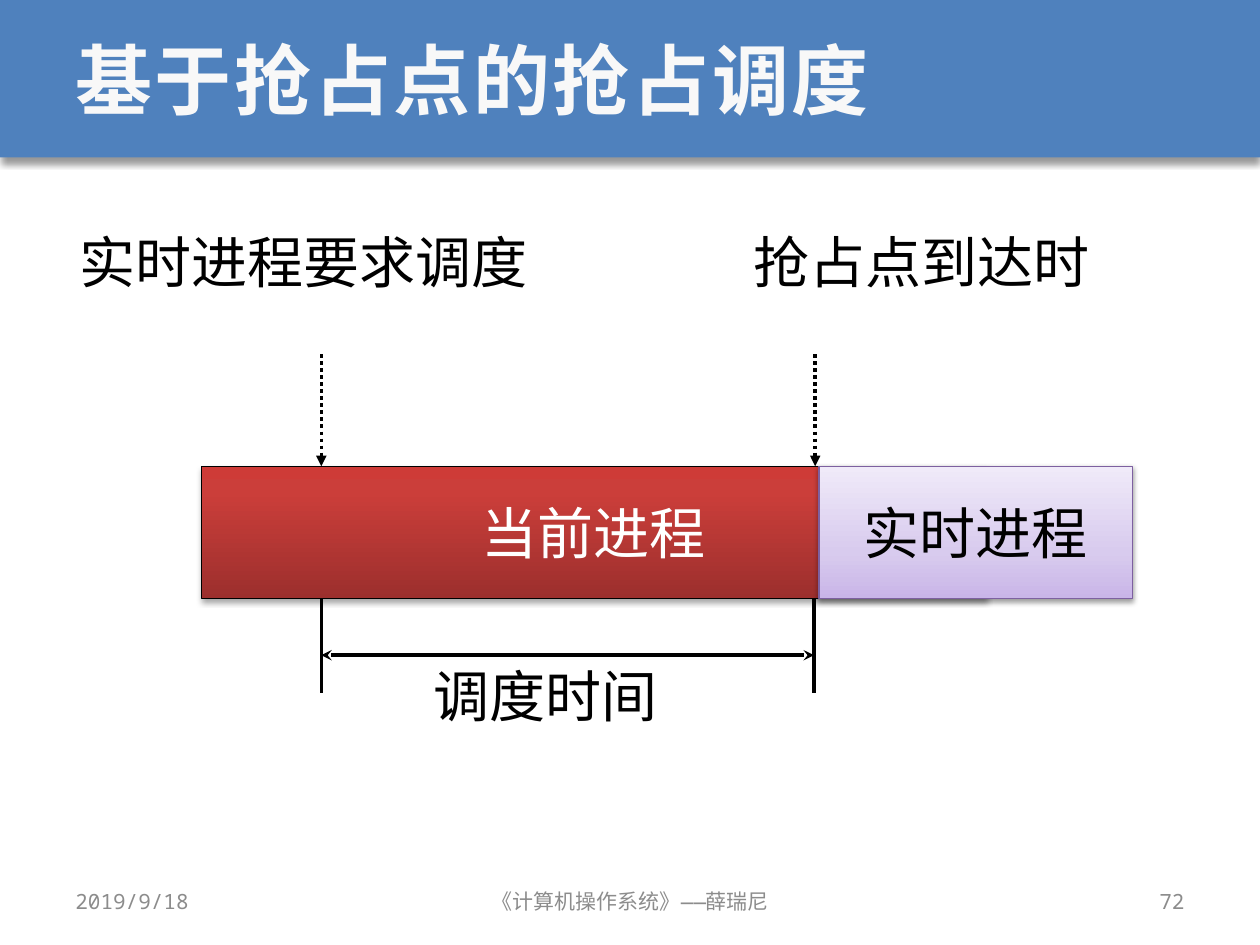
from dataclasses import dataclass

from lxml.etree import SubElement
from pptx import Presentation
from pptx.dml.color import RGBColor
from pptx.enum.dml import MSO_LINE
from pptx.enum.shapes import MSO_CONNECTOR, MSO_SHAPE
from pptx.enum.text import MSO_ANCHOR, PP_ALIGN
from pptx.oxml.ns import qn
from pptx.util import Pt


@dataclass(frozen=True)
class Theme:
    header: str = "4F81BD"
    title: str = "F8F8F8"
    ink: str = "000000"
    white: str = "FFFFFF"
    footer: str = "8C8C8C"
    lilac_edge: str = "7D60A0"
    red_stops: tuple = ((0, "9C2F2D"), (80, "CB3E3A"), (100, "CE3B37"))
    lilac_stops: tuple = ((0, "C9B5E8"), (35, "D8CBEE"), (100, "F0EAF9"))
    title_size: int = 44
    label_size: int = 32
    footer_size: int = 12
    title_font: str = "Noto Sans CJK SC"
    label_font: str = "Arial"
    footer_font: str = "Noto Sans Mono"


theme = Theme()
presentation = Presentation()
presentation.slide_width, presentation.slide_height = Pt(720), Pt(540)
slide = presentation.slides.add_slide(presentation.slide_layouts[6])
shapes = slide.shapes


def write_text(box, text, font=theme.label_font, size=theme.label_size, color=theme.ink,
               align=PP_ALIGN.LEFT, anchor=MSO_ANCHOR.TOP, wrap=True, bold=False, spacing=0):
    frame = box.text_frame
    frame.word_wrap = wrap
    frame.vertical_anchor = anchor
    paragraph = frame.paragraphs[0]
    paragraph.alignment = align
    run = paragraph.add_run()
    run.text = text
    run.font.name = font
    run.font.size = Pt(size)
    run.font.bold = bold
    run.font.color.rgb = RGBColor.from_string(color)
    properties = run.font._element
    SubElement(properties, qn("a:ea"), typeface=font)
    if spacing:
        properties.set("spc", str(round(spacing * 100)))


def draw_line(x1, y1, x2, y2, head=None, tail=None, dash=None):
    connector = shapes.add_connector(MSO_CONNECTOR.STRAIGHT, Pt(x1), Pt(y1), Pt(x2), Pt(y2))
    connector.line.width = Pt(2)
    connector.line.color.rgb = RGBColor.from_string(theme.ink)
    if dash:
        connector.line.dash_style = dash
    outline = connector.line._get_or_add_ln()
    for end, arrow in (("a:headEnd", head), ("a:tailEnd", tail)):
        if arrow:
            SubElement(outline, qn(end), type=arrow)
    SubElement(connector._element.spPr, qn("a:effectLst"))


# Header band and the two process bars
bar_top, bar_height = 266.4, 75.6
bar_bottom = bar_top + bar_height
bands = [
    # left, top, width, height, stops, edge, (opacity, blur, distance), text, text colour
    (0, 0, 720, 90, None, None, (40, 4, 3), None, None),
    (115.2, bar_top, 448.56, bar_height, theme.red_stops, theme.ink,
     (35, 3.1, 1.8), "当前进程", theme.white),
    (468, bar_top, 179.28, bar_height, theme.lilac_stops, theme.lilac_edge,
     (38, 3.1, 1.6), "实时进程", theme.ink),
]
for left, top, width, height, stops, edge, (opacity, blur, distance), text, color in bands:
    band = shapes.add_shape(MSO_SHAPE.RECTANGLE, Pt(left), Pt(top), Pt(width), Pt(height))
    if stops:
        band.fill.gradient()
        band.fill.gradient_angle = 90
        stop_list = band._element.spPr.find(qn("a:gradFill")).find(qn("a:gsLst"))
        for default_stop in list(stop_list):
            stop_list.remove(default_stop)
        for position, stop_color in stops:
            stop = SubElement(stop_list, qn("a:gs"), pos=str(position * 1000))
            SubElement(stop, qn("a:srgbClr"), val=stop_color)
    else:
        band.fill.solid()
        band.fill.fore_color.rgb = RGBColor.from_string(theme.header)
    if edge:
        band.line.width = Pt(0.75)
        band.line.color.rgb = RGBColor.from_string(edge)
    else:
        band.line.fill.background()
    band.shadow.inherit = False
    shadow = SubElement(band._element.spPr.find(qn("a:effectLst")), qn("a:outerShdw"),
                        blurRad=str(Pt(blur)), dist=str(Pt(distance)),
                        dir="5400000", rotWithShape="0")
    shadow_color = SubElement(shadow, qn("a:srgbClr"), val=theme.ink)
    SubElement(shadow_color, qn("a:alpha"), val=str(opacity * 1000))
    if text:
        write_text(band, text, color=color, align=PP_ALIGN.CENTER,
                   anchor=MSO_ANCHOR.MIDDLE, wrap=False)

# Moments of request and preemption, and the span between them
request_x, preempt_x, span_y = 183.6, 465.12, 374.4
for x in (request_x, preempt_x + 0.72):
    draw_line(x, 202.32, x, bar_top, tail="triangle", dash=MSO_LINE.ROUND_DOT)
for x in (request_x, preempt_x):
    draw_line(x, bar_bottom, x, 396)
draw_line(request_x, span_y, preempt_x, span_y, head="stealth", tail="stealth")

for left, top, width, text, wrap in (
    (38.16, 126.72, 272.88, "实时进程要求调度", False),
    (423.36, 126.72, 208.08, "抢占点到达时", False),
    (240.48, span_y, 167.04, "调度时间", True),
):
    label = shapes.add_textbox(Pt(left), Pt(top), Pt(width), Pt(46.08))
    write_text(label, text, wrap=wrap)

title = shapes.add_textbox(Pt(36), Pt(0), Pt(648), Pt(90))
write_text(title, "基于抢占点的抢占调度", font=theme.title_font, size=theme.title_size,
           color=theme.title, anchor=MSO_ANCHOR.MIDDLE, bold=True, spacing=1.5)

for left, width, text, align in (
    (36, 167.76, "2019/9/18", PP_ALIGN.LEFT),
    (516.24, 167.76, "72", PP_ALIGN.RIGHT),
    (246.24, 228.24, "《计算机操作系统》——薛瑞尼", PP_ALIGN.CENTER),
):
    footer = shapes.add_textbox(Pt(left), Pt(500.4), Pt(width), Pt(28.8))
    write_text(footer, text, font=theme.footer_font, size=theme.footer_size,
               color=theme.footer, align=align, anchor=MSO_ANCHOR.MIDDLE)

presentation.save("out.pptx")
